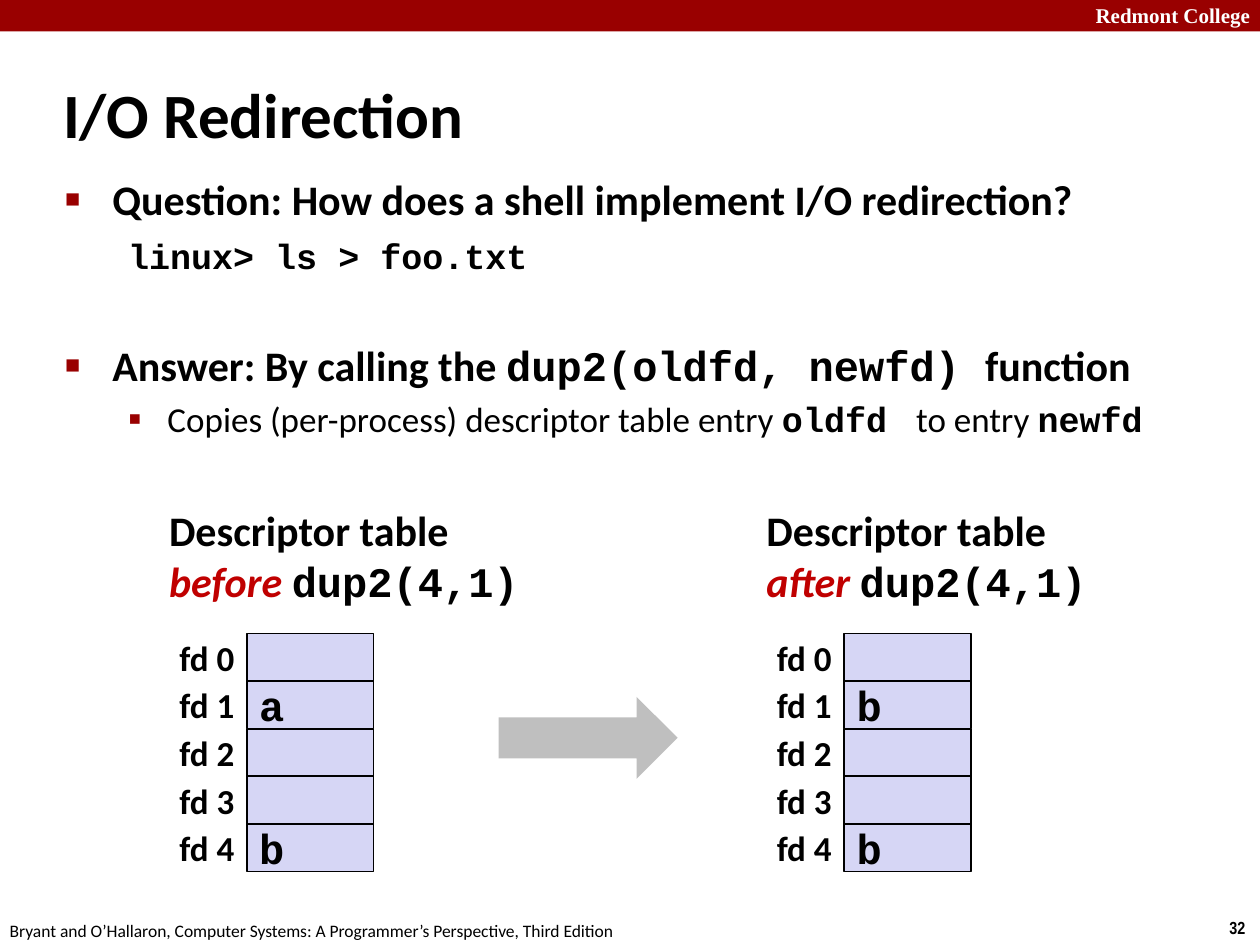
"""Builds the slide on I/O redirection with descriptor tables before and after dup2."""
from lxml.etree import SubElement
from pptx import Presentation
from pptx.dml.color import RGBColor
from pptx.enum.shapes import MSO_SHAPE as Shape
from pptx.enum.text import MSO_ANCHOR as Anchor, MSO_AUTO_SIZE as AutoSize, PP_ALIGN as Align
from pptx.oxml.ns import qn
from pptx.util import Pt

BLACK = RGBColor(0, 0, 0)
WHITE = RGBColor(0xFF, 0xFF, 0xFF)
BANNER = RGBColor(0x99, 0, 0)
ACCENT = RGBColor(0xC0, 0, 0)
CELL = RGBColor(0xD6, 0xD6, 0xF5)
ARROW = RGBColor(0xBF, 0xBF, 0xBF)
SANS, MONO = "Calibri", "Courier New"

HEAD = {"name": SANS, "size": Pt(24), "bold": True}
CODE = {**HEAD, "name": MONO}
DETAIL = {**HEAD, "size": Pt(20), "bold": False}
DETAIL_CODE = {**CODE, "size": Pt(20)}
LABEL = {**HEAD, "size": Pt(20)}
TITLE = {**HEAD, "size": Pt(36)}
EMPHASIS = {**HEAD, "italic": True, "color": ACCENT}
FOOTER = {"name": SANS, "size": Pt(10), "bold": False}
NUMBER = {"name": "Arial Narrow", "size": Pt(10), "bold": True}
BRAND = {"name": "Times New Roman", "size": Pt(12), "bold": True, "color": WHITE}

SQUARE = ("■", 60)
SMALL_SQUARE = ("▪", 110)
ROW_HEIGHT, CELL_WIDTH, TABLE_TOP = 27.2, 72.5, 362


class SlideBuilder:
    """Holds the style and the current slide."""

    def __init__(self, deck):
        self.page = deck.slides.add_slide(deck.slide_layouts[1])

    def place(self, shape, left, top, width, height):
        for name, value in {"left": left, "top": top, "width": width, "height": height}.items():
            setattr(shape, name, Pt(value))

    def add_spans(self, para, spans):
        for text, style in spans:
            span = para.add_run()
            span.text = text
            values = {"color": BLACK, **style}
            span.font.color.rgb = values.pop("color")
            for name, value in values.items():
                setattr(span.font, name, value)

    def fill_text(self, shape, lines, align=Align.LEFT, anchor=Anchor.MIDDLE, wrap=True):
        frame = shape.text_frame
        settings = {"word_wrap": wrap, "auto_size": AutoSize.NONE, "vertical_anchor": anchor}
        for name, value in settings.items():
            setattr(frame, name, value)
        for index, spans in enumerate(lines):
            para = frame.add_paragraph() if index else frame.paragraphs[0]
            para.alignment = align
            self.add_spans(para, spans)
        return frame.paragraphs

    def title(self, text, *area):
        shape = self.page.shapes.title
        self.place(shape, *area)
        self.fill_text(shape, [[(text, TITLE)]])

    def body(self, items, *area):
        shape = self.page.placeholders[1]
        self.place(shape, *area)
        paras = self.fill_text(shape, [item[-1] for item in items], anchor=Anchor.TOP)
        for para, (level, space, bullet, _) in zip(paras, items):
            para.level = level
            para.space_before = Pt(space)
            self.bullet(para, bullet, *((58.5, -22.5) if level else (27, -27)))

    def bullet(self, para, bullet, margin, indent):
        props = para._p.get_or_add_pPr()
        props.set("marL", str(Pt(margin)))
        props.set("indent", str(Pt(indent)))
        if bullet is None:
            SubElement(props, qn("a:buNone"))
            return
        char, percent = bullet
        color = SubElement(props, qn("a:buClr"))
        SubElement(color, qn("a:srgbClr"), val=str(BANNER))
        SubElement(props, qn("a:buSzPct"), val=str(percent * 1000))
        SubElement(props, qn("a:buFont"), typeface="Arial")
        SubElement(props, qn("a:buChar"), char=char)

    def text(self, lines, *area, **layout):
        box = self.page.shapes.add_textbox(*map(Pt, area))
        self.fill_text(box, lines, **layout)

    def shape(self, kind, color, *area, outlined=False):
        shape = self.page.shapes.add_shape(kind, *map(Pt, area))
        shape.shadow.inherit = False
        shape.fill.solid()
        shape.fill.fore_color.rgb = color
        if outlined:
            shape.line.color.rgb = BLACK
            shape.line.width = Pt(1)
        else:
            shape.line.fill.background()
        return shape

    def descriptor_table(self, left, moment, entries):
        self.text([[("Descriptor table", HEAD)],
                   [(f"{moment} ", EMPHASIS), ("dup2(4,1)", CODE)]],
                  left - 51.5, 284.4, 217, 65.5)
        for row, entry in enumerate(entries):
            top = TABLE_TOP + row * ROW_HEIGHT
            cell = self.shape(Shape.RECTANGLE, CELL, left, top, CELL_WIDTH, ROW_HEIGHT, outlined=True)
            if entry:
                self.fill_text(cell, [[(entry, CODE)]])
            self.text([[(f"fd {row}", LABEL)]], left - CELL_WIDTH, top, CELL_WIDTH, ROW_HEIGHT,
                      align=Align.RIGHT)


def main():
    deck = Presentation()
    deck.slide_width, deck.slide_height = Pt(720), Pt(540)
    slide = SlideBuilder(deck)

    slide.shape(Shape.RECTANGLE, BANNER, 0, 0, 720, 18)
    slide.text([[("Redmont College", BRAND)]], 600, -2, 121.5, 21.6, align=Align.RIGHT)
    slide.text([[("32", NUMBER)]], 695.5, 520.5, 24.5, 19.4, wrap=False)
    slide.text([[("Bryant and O’Hallaron, Computer Systems: A Programmer’s Perspective, Third Edition",
                  FOOTER)]], -1.5, 522, 366, 19.4)

    slide.title("I/O Redirection", 28.8, 34.6, 597.6, 59.8)
    slide.body([
        (0, 5, SQUARE, [("Question: How does a shell implement I/O redirection?", HEAD)]),
        (1, 6, None, [("linux> ls > foo.txt", DETAIL_CODE)]),
        (0, 36, SQUARE, [("Answer: By calling the ", HEAD), ("dup2(oldfd, newfd) ", CODE),
                         ("function", HEAD)]),
        (1, 4, SMALL_SQUARE, [("Copies (per-process) descriptor table entry ", DETAIL),
                              ("oldfd ", DETAIL_CODE), (" to entry ", DETAIL),
                              ("newfd", DETAIL_CODE)]),
    ], 30, 95.8, 654, 150)

    slide.descriptor_table(141, "before", ["", "a", "", "", "b"])
    slide.descriptor_table(482.4, "after", ["", "b", "", "", "b"])
    slide.shape(Shape.RIGHT_ARROW, ARROW, 285, 398.2, 102.2, 46.8)

    deck.save("out.pptx")


if __name__ == "__main__":
    main()
